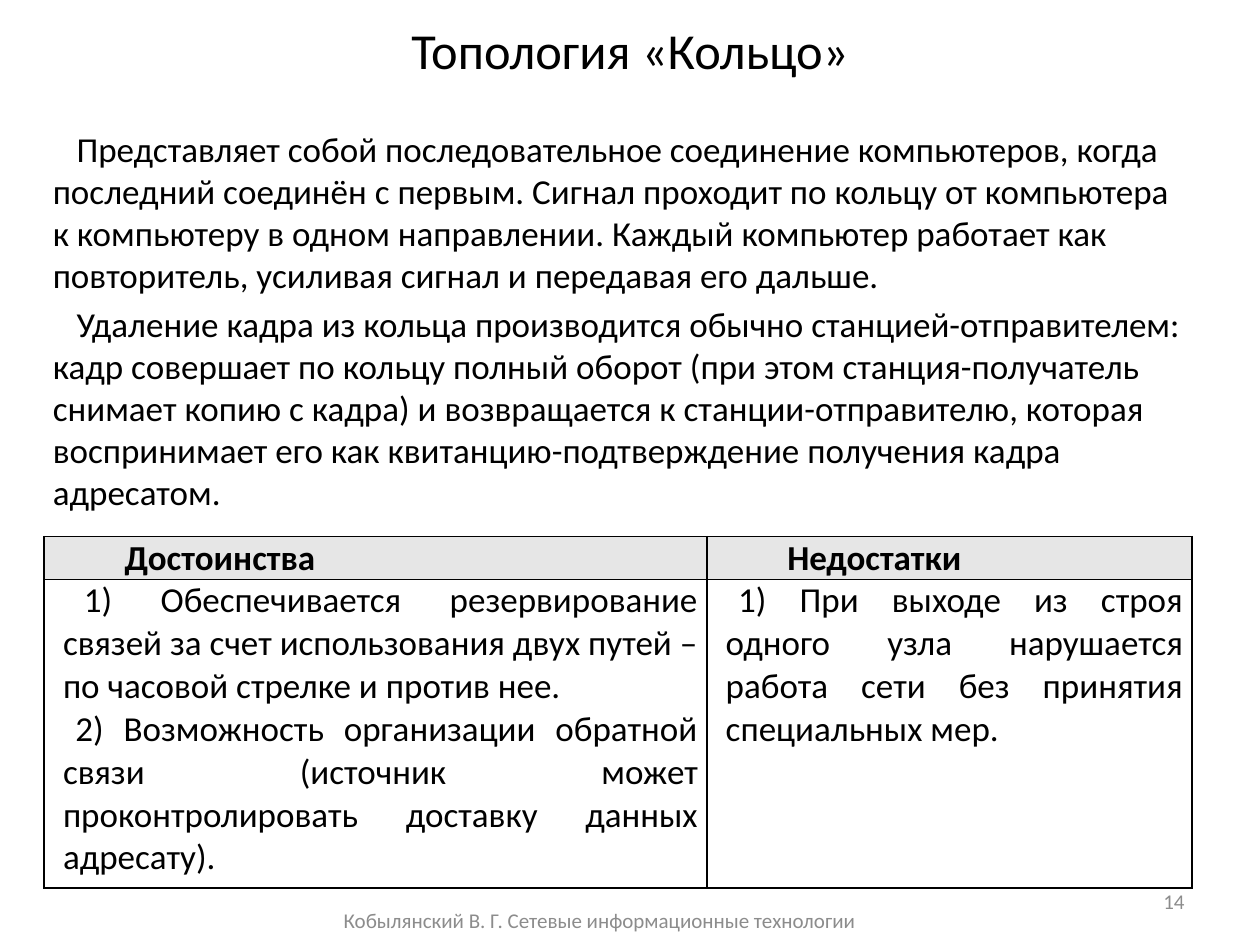
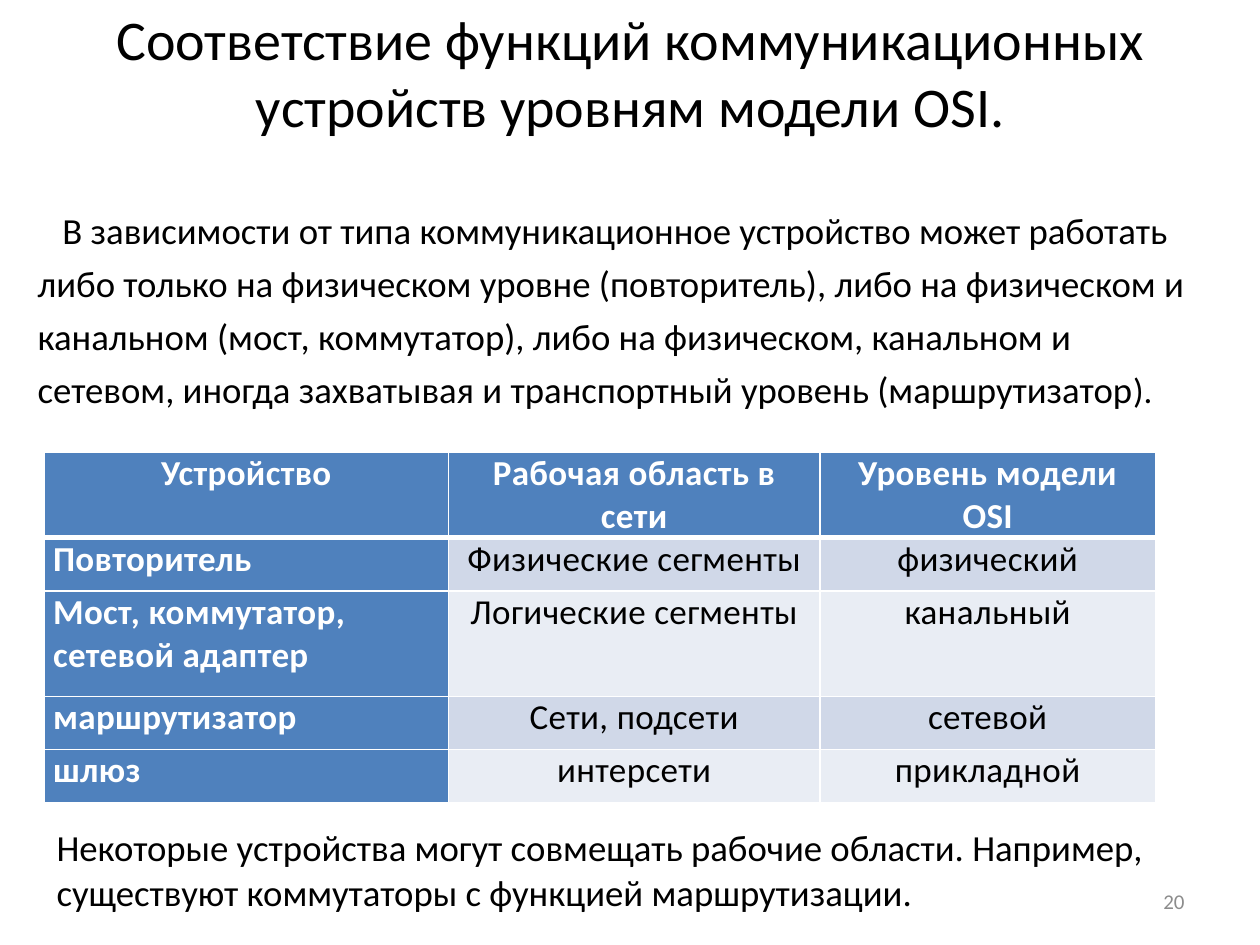
"""Builds two slides on network topologies and OSI levels of network devices."""
from lxml import etree
from pptx import Presentation
from pptx.dml.color import RGBColor
from pptx.enum.text import MSO_ANCHOR, MSO_AUTO_SIZE, PP_ALIGN
from pptx.oxml.ns import qn
from pptx.util import Cm, Pt

LEFT, CENTER, RIGHT, JUSTIFY = PP_ALIGN.LEFT, PP_ALIGN.CENTER, PP_ALIGN.RIGHT, PP_ALIGN.JUSTIFY
TOP, MIDDLE = MSO_ANCHOR.TOP, MSO_ANCHOR.MIDDLE
NO_AUTOFIT = MSO_AUTO_SIZE.NONE

FONT = "Calibri"
BLACK = RGBColor(0x00, 0x00, 0x00)
WHITE = RGBColor(0xFF, 0xFF, 0xFF)
FOOTER_GRAY = RGBColor(0x8C, 0x8C, 0x8C)
HEADER_GRAY = RGBColor(0xE6, 0xE6, 0xE6)
BLUE = RGBColor(0x4F, 0x81, 0xBD)
BANDS = RGBColor(0xD0, 0xD8, 0xE8), RGBColor(0xE9, 0xED, 0xF4)

CONTENT_LAYOUT, TITLE_LAYOUT = 1, 5
TEXT_SIZE, NOTE_SIZE, FOOTER_SIZE = 20, 21, 12
TABLE_LEFT = 0.89
NUMBER_AREA = 18.21, 17.65, 5.92, 1.02
FOOTER_AREA = 4.09, 18.03, 16, 1.02

RING_TITLE = "Топология «Кольцо»"
RING_TEXT = [
    "Представляет собой последовательное соединение компьютеров, когда последний соединён "
    "с первым. Сигнал проходит по кольцу от компьютера к компьютеру в одном направлении. "
    "Каждый компьютер работает как повторитель, усиливая сигнал и передавая его дальше.",
    "Удаление кадра из кольца производится обычно станцией-отправителем: кадр совершает по "
    "кольцу полный оборот (при этом станция-получатель снимает копию с кадра) и возвращается "
    "к станции-отправителю, которая воспринимает его как квитанцию-подтверждение получения "
    "кадра адресатом.",
]
RING_COLUMNS = [
    ("Достоинства", [
        ("1) Обеспечивается резервирование связей за счет использования двух путей – "
         "по часовой стрелке и против нее.", 0.42),
        ("2) Возможность организации обратной связи (источник может проконтролировать "
         "доставку данных адресату).", 0.25),
    ]),
    ("Недостатки", [
        ("1) При выходе из строя одного узла нарушается работа сети без принятия "
         "специальных мер.", 0.25),
    ]),
]
FOOTER = "Кобылянский В. Г. Сетевые информационные технологии"

OSI_TITLE = "Соответствие функций коммуникационных устройств уровням модели OSI."
OSI_TEXT = [
    ("В зависимости от типа коммуникационное устройство может работать либо только на "
     "физическом уровне (повторитель), либо на физическом и канальном (мост, коммутатор), "
     "либо на физическом, канальном и сетевом, иногда захватывая и транспортный уровень "
     "(маршрутизатор", NOTE_SIZE),
    (").", TEXT_SIZE),
]
OSI_ROWS = [
    ("Устройство", "Рабочая область в сети", "Уровень модели OSI"),
    ("Повторитель", "Физические сегменты", "физический"),
    ("Мост, коммутатор, сетевой адаптер", "Логические сегменты", "канальный"),
    ("маршрутизатор", "Сети, подсети", "сетевой"),
    ("шлюз", "интерсети", "прикладной"),
]
OSI_NOTE = ("Некоторые устройства могут совмещать рабочие области. Например, "
            "существуют коммутаторы с функцией маршрутизации.")


def add_span(para, text, size=TEXT_SIZE, color=BLACK, bold=False):
    span = para.add_run()
    span.text = text
    font = span.font
    font.name, font.size, font.bold = FONT, Pt(size), bold
    font.color.rgb = color
    return span


def set_indent(para, first, margin=0):
    properties = para._p.get_or_add_pPr()
    properties.set("marL", str(Cm(margin)))
    properties.set("indent", str(Cm(first)))
    return properties


def next_paragraph(frame, index):
    return frame.add_paragraph() if index else frame.paragraphs[0]


def place(shape, area):
    shape.left, shape.top, shape.width, shape.height = map(Cm, area)


def add_box(page, area, anchor=TOP, align=LEFT):
    frame = page.shapes.add_textbox(*map(Cm, area)).text_frame
    frame.word_wrap = True
    frame.vertical_anchor = anchor
    para = frame.paragraphs[0]
    para.alignment = align
    return para


def add_page(deck, layout, title, area, size, number):
    page = deck.slides.add_slide(deck.slide_layouts[layout])
    place(page.shapes.title, area)
    frame = page.shapes.title.text_frame
    frame.auto_size = NO_AUTOFIT
    frame.vertical_anchor = MIDDLE
    para = frame.paragraphs[0]
    para.alignment = CENTER
    add_span(para, title, size)
    add_span(add_box(page, NUMBER_AREA, MIDDLE, RIGHT), str(number), FOOTER_SIZE, FOOTER_GRAY)
    return page


def add_grid(page, top, widths, heights):
    table = page.shapes.add_table(len(heights), len(widths), Cm(TABLE_LEFT), Cm(top),
                                  Cm(sum(widths)), Cm(sum(heights))).table
    table.horz_banding = False
    for column, width in zip(table.columns, widths):
        column.width = Cm(width)
    for row, height in zip(table.rows, heights):
        row.height = Cm(height)
    return table


def format_cell(cell, fill, border, top=1, bottom=1, anchor=TOP):
    cell.margin_left = cell.margin_right = Cm(0.18)
    cell.margin_top = cell.margin_bottom = 0
    cell.vertical_anchor = anchor
    properties = cell._tc.get_or_add_tcPr()
    for side, weight in (("L", 1), ("R", 1), ("T", top), ("B", bottom)):
        line = etree.SubElement(properties, qn(f"a:ln{side}"), w=str(Pt(weight)))
        solid = etree.SubElement(line, qn("a:solidFill"))
        etree.SubElement(solid, qn("a:srgbClr"), val=str(border))
    if fill is None:
        cell.fill.background()
    else:
        cell.fill.solid()
        cell.fill.fore_color.rgb = fill


def add_ring_page(deck):
    page = add_page(deck, CONTENT_LAYOUT, RING_TITLE, (1.27, 0.23, 22.86, 1.55), 28.8, 14)
    body = page.placeholders[1]
    place(body, (0.81, 2.44, 23.42, 8.56))
    body.text_frame.auto_size = NO_AUTOFIT
    for index, text in enumerate(RING_TEXT):
        para = next_paragraph(body.text_frame, index)
        etree.SubElement(set_indent(para, 0.48), qn("a:buNone"))
        add_span(para, text)

    table = add_grid(page, 10.82, (13.36, 9.78), (0.86, 6.22))
    for column, (heading, items) in enumerate(RING_COLUMNS):
        header, content = table.cell(0, column), table.cell(1, column)
        format_cell(header, HEADER_GRAY, BLACK, anchor=MIDDLE)
        format_cell(content, None, BLACK)
        for cell, entries in ((header, [(heading, 1.24)]), (content, items)):
            for index, (text, first) in enumerate(entries):
                para = next_paragraph(cell.text_frame, index)
                para.alignment = JUSTIFY
                set_indent(para, first, 0.2)
                add_span(para, text, bold=cell is header)
    add_span(add_box(page, FOOTER_AREA, MIDDLE, CENTER), FOOTER, FOOTER_SIZE, FOOTER_GRAY)


def add_osi_page(deck):
    page = add_page(deck, TITLE_LAYOUT, OSI_TITLE, (0.51, -0.03, 24.41, 2.95), 32, 20)
    para = add_box(page, (0.51, 3.89, 24, 4.5))
    para.line_spacing = 1.2
    set_indent(para, 0.5)
    for text, size in OSI_TEXT:
        add_span(para, text, size)

    table = add_grid(page, 9.12, (8.15, 7.49, 6.76), (1.72, 1.07, 2.13, 1.07, 1.07))
    for row, texts in enumerate(OSI_ROWS):
        for column, text in enumerate(texts):
            heading = row == 0 or column == 0
            cell = table.cell(row, column)
            format_cell(cell, BLUE if heading else BANDS[(row - 1) % 2], WHITE,
                        top=3 if row == 1 else 1, bottom=3 if row == 0 else 1)
            para = cell.text_frame.paragraphs[0]
            para.alignment = LEFT if row and column == 0 else CENTER
            span = add_span(para, text, color=WHITE if heading else BLACK, bold=heading)
            span._r.get_or_add_rPr().set("spc", "20")
    add_span(add_box(page, (0.89, 16.51, 24, 2.06)), OSI_NOTE, NOTE_SIZE)


def main():
    deck = Presentation()
    deck.slide_width, deck.slide_height = Cm(25.4), Cm(19.05)
    add_ring_page(deck)
    add_osi_page(deck)
    deck.save("out.pptx")


if __name__ == "__main__":
    main()
